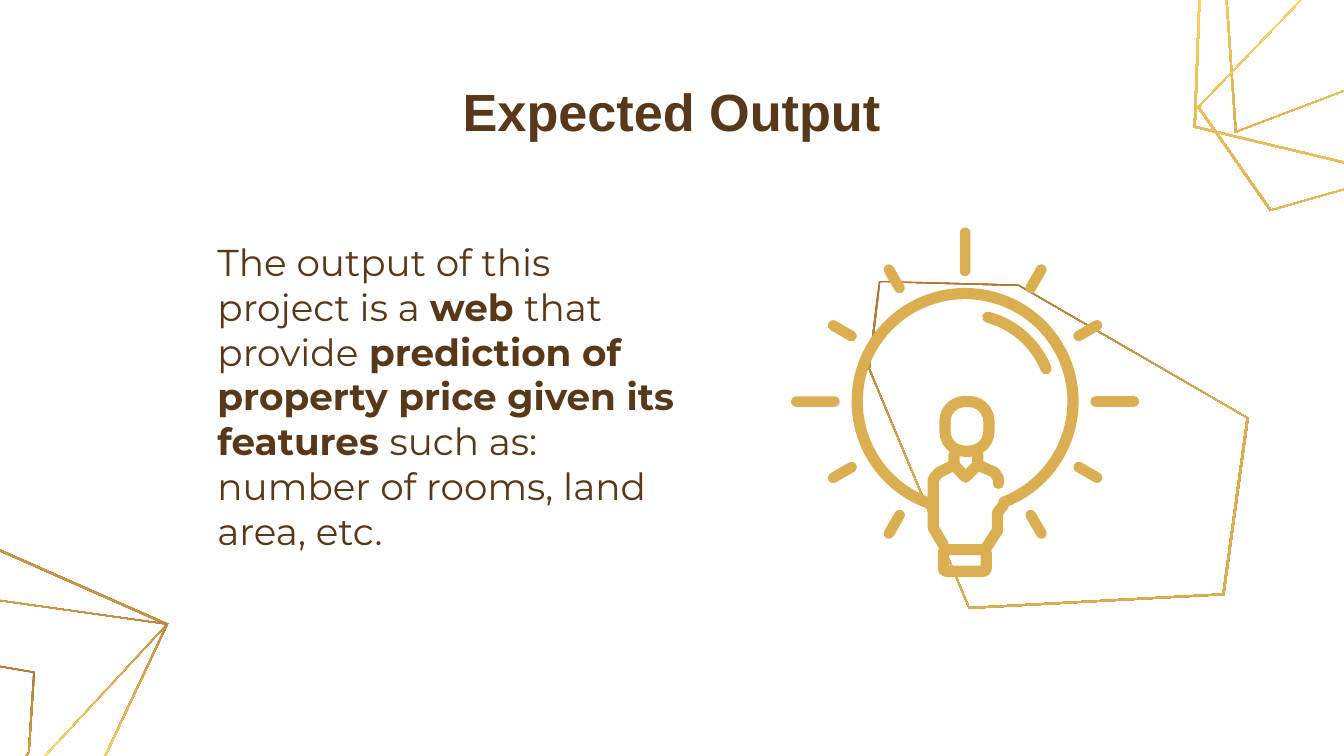
from copy import deepcopy
from dataclasses import dataclass
from math import cos, radians, sin

from lxml.etree import SubElement
from pptx import Presentation
from pptx.dml.color import RGBColor as RGB
from pptx.enum.shapes import MSO_SHAPE as SHAPE
from pptx.enum.text import MSO_ANCHOR as ANCHOR, PP_ALIGN as ALIGN
from pptx.oxml.ns import qn
from pptx.util import Cm, Pt


@dataclass(frozen=True)
class Theme:
    brown: str = "583819"
    gold: str = "DCAE52"
    corner_stops: tuple = ("AF7132", "FFDD6B", "DCAE52")
    panel_stops: tuple = ("AF7132", "DCAE52", "DCAE52")
    title_font: str = "Arial"
    body_font: str = "Montserrat"
    title_size: int = 28
    body_size: int = 20
    stroke: float = 6


THEME = Theme()
BULB_CENTER = (18.24, 7.59)

# Corner decorations: turn in degrees and corner points in cm
CORNER_FRAMES = [
    (25.2, [(23.34, 2.51), (22.91, -3.68), (30.53, -2.62), (29.16, 0.3)]),
    (25.2, [(-6.27, 16.81), (-6.07, 13.74), (-1.7, 12.29), (0.66, 12.7),
            (0.56, 14.22), (-1.98, 17.93)]),
    (25.2, [(-3.63, 16.64), (-4.88, 14.76), (-0.33, 10.24), (3.18, 11.79),
            (-0.61, 15.88)]),
    (25.2, [(-3.63, 16.64), (-4.06, 10.77), (3.18, 11.79), (1.88, 14.55)]),
    (23.8, [(22.56, 2.41), (22.68, -0.81), (27.2, -2.44), (29.69, -2.06),
            (29.62, -0.48), (27.05, 3.48)]),
    (23.8, [(24, 3.99), (22.63, 2.03), (27.28, -2.82), (30.99, -1.27),
            (27.13, 3.1)]),
]
PANEL_FRAME = [(23.14, 11.25), (23.6, 7.9), (19.25, 5.38), (16.61, 5.31),
               (16.41, 6.96), (18.31, 11.51)]


def to_emu(points):
    return [(Cm(x), Cm(y)) for x, y in points]


def polar(radius, degrees):
    """Point around the bulb centre, counter-clockwise from the right."""
    cx, cy = BULB_CENTER
    a = radians(degrees)
    return cx + radius * cos(a), cy - radius * sin(a)


def arc(radius, start, end, step=4):
    count = max(1, round((end - start) / step))
    return [polar(radius, start + (end - start) * i / count)
            for i in range(count + 1)]


def add_frame(slide, points, turn, stops):
    """Hairline polygon: a gradient ring between two contours."""
    cx = sum(x for x, _ in points) / len(points)
    cy = sum(y for _, y in points) / len(points)
    inner = [(cx + (x - cx) * 0.99, cy + (y - cy) * 0.99) for x, y in points]
    outer_emu, inner_emu = to_emu(points), to_emu(inner[::-1])
    fb = slide.shapes.build_freeform(*outer_emu[0])
    fb.add_line_segments(outer_emu[1:])
    fb.move_to(*inner_emu[0])
    fb.add_line_segments(inner_emu[1:])
    sp = fb.convert_to_shape()
    sp.shadow.inherit = False
    sp.line.fill.background()
    sp.fill.gradient()
    stop_list = sp._element.spPr.find(".//" + qn("a:gsLst"))
    stop_list.insert(1, deepcopy(stop_list[0]))
    for i, (stop, color) in enumerate(zip(sp.fill.gradient_stops, stops)):
        stop.position = i / 2
        stop.color.rgb = RGB.from_string(color)
    sp.fill.gradient_angle = 270 - turn


def style_stroke(sp):
    """Unfilled thick gold outline with round ends and joins."""
    sp.shadow.inherit = False
    sp.fill.background()
    sp.line.color.rgb = RGB.from_string(THEME.gold)
    sp.line.width = Pt(THEME.stroke)
    ln = sp._element.spPr.find(qn("a:ln"))
    ln.set("cap", "rnd")
    SubElement(ln, qn("a:round"))


def add_stroke(slide, points):
    emu = to_emu(points)
    fb = slide.shapes.build_freeform(*emu[0])
    fb.add_line_segments(emu[1:], close=False)
    style_stroke(fb.convert_to_shape())


def add_round_rect(slide, x, y, w, h, rounding):
    sp = slide.shapes.add_shape(SHAPE.ROUNDED_RECTANGLE,
                                Cm(x), Cm(y), Cm(w), Cm(h))
    sp.adjustments[0] = rounding
    return sp


def add_ray(slide, degrees):
    upright = degrees % 90 == 0
    radius, length, width = (2.83, 0.92, 0.2) if upright else (2.68, 0.6, 0.2)
    x, y = polar(radius, degrees)
    sp = add_round_rect(slide, x - length / 2, y - width / 2,
                        length, width, 0.5)
    sp.rotation = -degrees
    sp.shadow.inherit = False
    sp.fill.solid()
    sp.fill.fore_color.rgb = RGB.from_string(THEME.gold)
    sp.line.fill.background()


def add_bulb(slide):
    glass = [(18.65, 10.34), (18.85, 10.03), (18.85, 9.7), (18.97, 9.54)]
    body = [(17.83, 10.3), (17.64, 9.98), (17.64, 9.05), (17.75, 8.93),
            (18.03, 8.79), (18.03, 8.6)]
    collar = [(18.03, 8.79), (18.25, 9.02), (18.48, 8.79), (18.48, 8.6)]
    shoulder = [(18.48, 8.79), (18.8, 8.93), (18.87, 9.05), (18.87, 9.14)]
    highlight = arc(1.65, 22, 75)
    for points in (glass + arc(2.04, -69, 251), body, collar, shoulder,
                   highlight):
        add_stroke(slide, points)
    style_stroke(add_round_rect(slide, 17.86, 7.59, 0.83, 0.94, 0.45))
    style_stroke(add_round_rect(slide, 17.83, 10.39, 0.81, 0.41, 0.15))
    for degrees in range(0, 360, 30):
        if degrees != 270:
            add_ray(slide, degrees)


def add_text(slide, runs, x, y, w, h, *, font, size, align=ALIGN.LEFT,
             indent=0):
    """Text box of one paragraph; runs are (text, bold) pairs."""
    tf = slide.shapes.add_textbox(Cm(x), Cm(y), Cm(w), Cm(h)).text_frame
    tf.word_wrap = True
    tf.vertical_anchor = ANCHOR.MIDDLE
    tf.margin_left = tf.margin_right = Cm(0.25)
    tf.margin_top = tf.margin_bottom = Cm(0.25)
    p = tf.paragraphs[0]
    p.alignment = align
    if indent:
        p._p.get_or_add_pPr().set("marL", str(Cm(indent)))
    for text, bold in runs:
        r = p.add_run()
        r.text = text
        r.font.name = font
        r.font.size = Pt(size)
        r.font.bold = bold
        r.font.color.rgb = RGB.from_string(THEME.brown)


def main():
    prs = Presentation()
    prs.slide_width, prs.slide_height = Cm(25.4), Cm(14.29)
    slide = prs.slides.add_slide(prs.slide_layouts[6])
    for turn, points in CORNER_FRAMES:
        add_frame(slide, points, turn, THEME.corner_stops)
    add_frame(slide, PANEL_FRAME, -13.5, THEME.panel_stops)
    add_text(slide, [
        ("The output of this project is a ", False),
        ("web ", True),
        ("that provide", False),
        (" prediction of property price given its features ", True),
        ("such as: number of rooms, land area, etc.", False),
    ], 3.48, 3.89, 9.75, 7.19, font=THEME.body_font, size=THEME.body_size,
        indent=0.38)
    add_text(slide, [("Expected Output", True)], 5.54, 1.5, 14.3, 1.19,
             font=THEME.title_font, size=THEME.title_size, align=ALIGN.CENTER)
    add_bulb(slide)
    prs.save("out.pptx")


if __name__ == "__main__":
    main()
